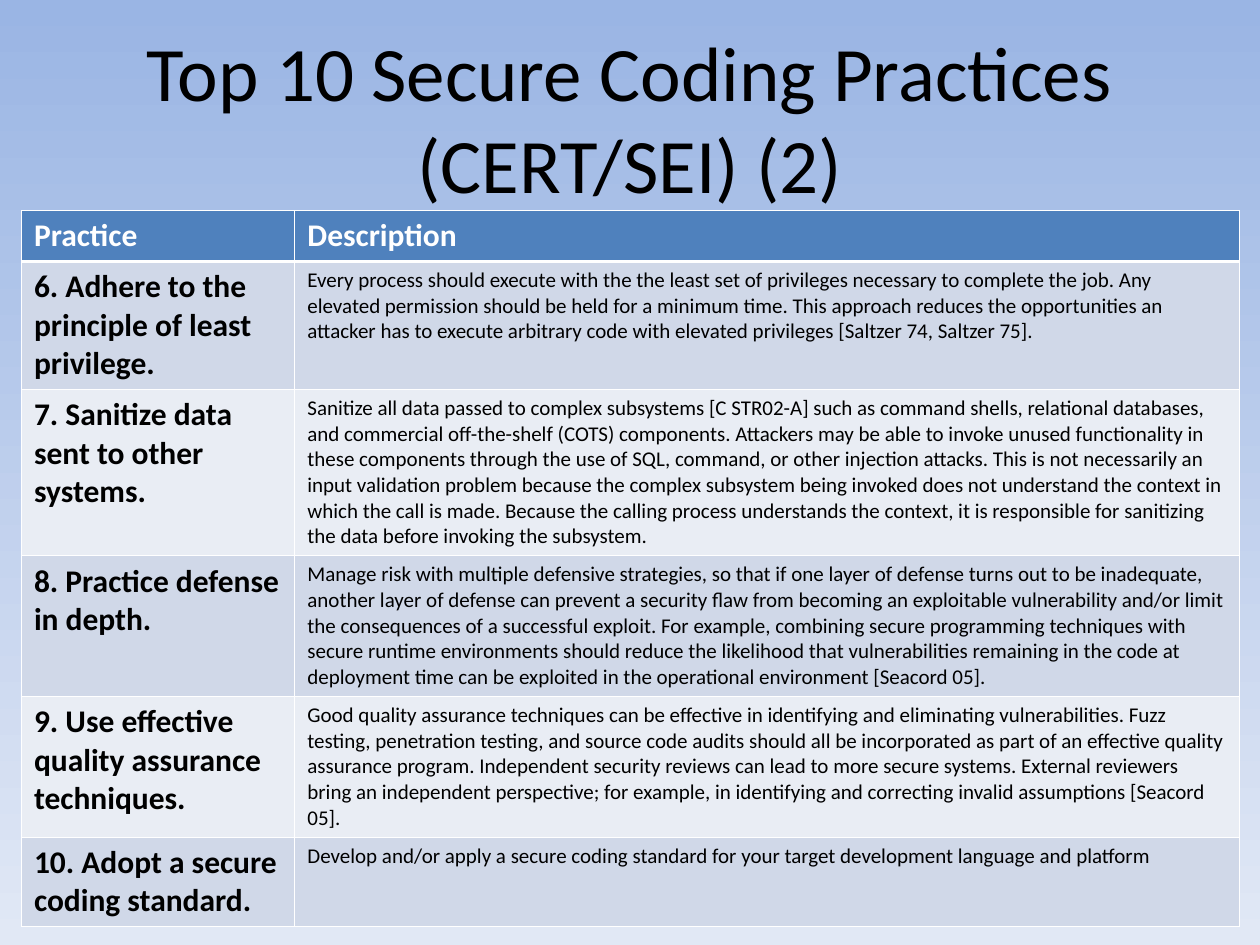
from lxml import etree
from pptx import Presentation
from pptx.dml.color import RGBColor
from pptx.enum.text import MSO_ANCHOR, MSO_AUTO_SIZE, PP_ALIGN
from pptx.oxml.ns import qn
from pptx.util import Inches, Pt

MIDDLE = MSO_ANCHOR.MIDDLE
NO_AUTOFIT = MSO_AUTO_SIZE.NONE
CENTER = PP_ALIGN.CENTER

FONT = "Calibri"
BLACK = RGBColor(0x00, 0x00, 0x00)
WHITE = RGBColor(0xFF, 0xFF, 0xFF)
SKY_TOP = RGBColor(0x9A, 0xB5, 0xE4)
SKY_BOTTOM = RGBColor(0xE1, 0xE8, 0xF5)
HEADER_BLUE = RGBColor(0x4F, 0x81, 0xBD)
BAND_DARK = RGBColor(0xD0, 0xD8, 0xE8)
BAND_LIGHT = RGBColor(0xE9, 0xED, 0xF4)

THIN, THICK = 0.45, 1.47
COL_WIDTHS = [2.17, 7.5]
ROW_HEIGHTS = [0.4, 1, 1.3, 1.1, 1.1, 0.7]
ROWS = [
    ("Practice", "Description"),
    ("6. Adhere to the principle of least privilege.",
     "Every process should execute with the the least set of privileges necessary to "
     "complete the job. Any elevated permission should be held for a minimum time. This "
     "approach reduces the opportunities an attacker has to execute arbitrary code with "
     "elevated privileges [Saltzer 74, Saltzer 75]."),
    ("7. Sanitize data sent to other systems.",
     "Sanitize all data passed to complex subsystems [C STR02-A] such as command shells, "
     "relational databases, and commercial off-the-shelf (COTS) components. Attackers may "
     "be able to invoke unused functionality in these components through the use of SQL, "
     "command, or other injection attacks. This is not necessarily an input validation "
     "problem because the complex subsystem being invoked does not understand the context "
     "in which the call is made. Because the calling process understands the context, it "
     "is responsible for sanitizing the data before invoking the subsystem."),
    ("8. Practice defense in depth.",
     "Manage risk with multiple defensive strategies, so that if one layer of defense "
     "turns out to be inadequate, another layer of defense can prevent a security flaw "
     "from becoming an exploitable vulnerability and/or limit the consequences of a "
     "successful exploit. For example, combining secure programming techniques with secure "
     "runtime environments should reduce the likelihood that vulnerabilities remaining in "
     "the code at deployment time can be exploited in the operational environment "
     "[Seacord 05]."),
    ("9. Use effective quality assurance techniques.",
     "Good quality assurance techniques can be effective in identifying and eliminating "
     "vulnerabilities. Fuzz testing, penetration testing, and source code audits should "
     "all be incorporated as part of an effective quality assurance program. Independent "
     "security reviews can lead to more secure systems. External reviewers bring an "
     "independent perspective; for example, in identifying and correcting invalid "
     "assumptions [Seacord 05]."),
    ("10. Adopt a secure coding standard.",
     "Develop and/or apply a secure coding standard for your target development language "
     "and platform"),
]


def set_background(s):
    fill = s.background.fill
    fill.gradient()
    fill.gradient_angle = 270  # counter-clockwise: runs from top to bottom
    for stop, color in zip(fill.gradient_stops, (SKY_TOP, SKY_BOTTOM)):
        stop.color.rgb = color


def add_run(p, text, size, color, bold=False):
    r = p.add_run()
    r.text = text
    r.font.name = FONT
    r.font.size = Pt(size)
    r.font.bold = bold
    r.font.color.rgb = color


def add_title(s, text):
    title = s.shapes.title
    title.left, title.top = Inches(0.5), Inches(0.3)
    title.width, title.height = Inches(9), Inches(1.25)
    tf = title.text_frame
    tf.auto_size = NO_AUTOFIT
    tf.vertical_anchor = MIDDLE
    p = tf.paragraphs[0]
    p.alignment = CENTER
    add_run(p, text, 44, BLACK)


def set_borders(cell, top, bottom):
    tcPr = cell._tc.get_or_add_tcPr()
    for side, width in (("L", THIN), ("R", THIN), ("T", top), ("B", bottom)):
        ln = etree.SubElement(tcPr, qn(f"a:ln{side}"), w=str(int(Pt(width))))
        fill = etree.SubElement(ln, qn("a:solidFill"))
        etree.SubElement(fill, qn("a:srgbClr"), val=str(WHITE))


def fill_cell(cell, row, col, text):
    # Borders go before the fill in the cell properties
    set_borders(cell, THICK if row == 1 else THIN, THICK if row == 0 else THIN)
    header = row == 0
    cell.fill.solid()
    cell.fill.fore_color.rgb = (
        HEADER_BLUE if header else BAND_DARK if row % 2 else BAND_LIGHT)
    strong = header or col == 0
    add_run(cell.text_frame.paragraphs[0], text, 18 if strong else 12,
            WHITE if header else BLACK, strong)


def add_practice_table(s):
    frame = s.shapes.add_table(len(ROWS), len(COL_WIDTHS), Inches(0.17), Inches(1.67),
                               Inches(sum(COL_WIDTHS)), Inches(sum(ROW_HEIGHTS)))
    table = frame.table
    for column, width in zip(table.columns, COL_WIDTHS):
        column.width = Inches(width)
    for row, height in zip(table.rows, ROW_HEIGHTS):
        row.height = Inches(height)
    for i, texts in enumerate(ROWS):
        for j, text in enumerate(texts):
            fill_cell(table.cell(i, j), i, j, text)


def main():
    prs = Presentation()
    prs.slide_width, prs.slide_height = Inches(10), Inches(7.5)
    s = prs.slides.add_slide(prs.slide_layouts[5])  # Title Only
    set_background(s)
    add_title(s, "Top 10 Secure Coding Practices (CERT/SEI) (2)")
    add_practice_table(s)
    prs.save("out.pptx")


if __name__ == "__main__":
    main()
